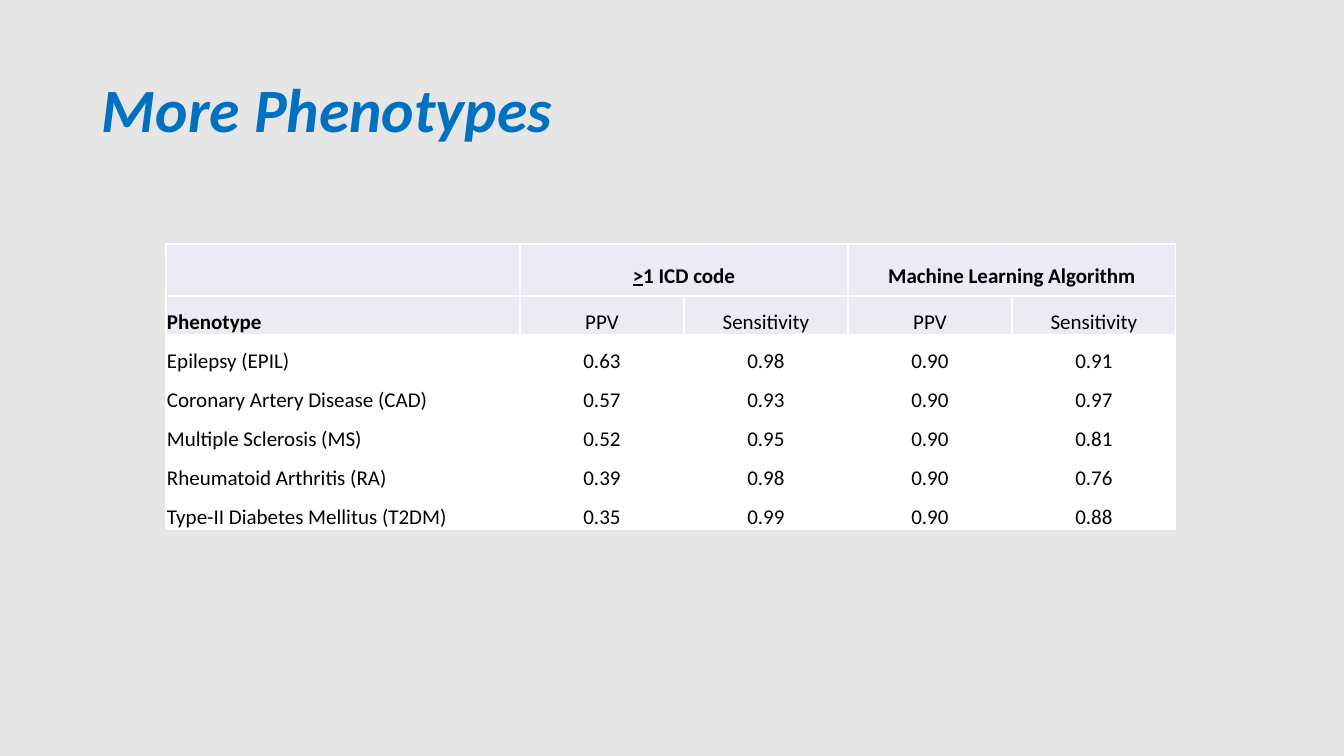
"""Build the slide that compares phenotype accuracy of ICD codes and machine learning."""
from dataclasses import dataclass

import lxml.etree
import pptx
import pptx.dml.color
import pptx.enum.text
import pptx.oxml.ns
import pptx.presentation
import pptx.slide
import pptx.table
import pptx.util

RGBColor = pptx.dml.color.RGBColor
BACKGROUND = RGBColor(0xE7, 0xE6, 0xE6)
TITLE_BLUE = RGBColor(0x00, 0x70, 0xC0)
HEADER_FILL = RGBColor(0xE9, 0xEB, 0xF5)
WHITE = RGBColor(0xFF, 0xFF, 0xFF)
BLACK = RGBColor(0x00, 0x00, 0x00)

FONT = "Calibri"
EMU_PER_PX = 914400 / 100.8
COLUMN_WIDTHS = (354, 164, 164, 164, 164)
GROUP_ROW_HEIGHT = 52
ROW_HEIGHT = 39
GROUP_MARGINS = (14, 7, 14, 7)
BODY_MARGINS = (1, 1, 1, 0)


@dataclass(frozen=True)
class Phenotype:
    """Accuracy figures of one phenotype."""

    name: str
    icd_ppv: str
    icd_sensitivity: str
    learning_ppv: str
    learning_sensitivity: str

    def texts(self) -> tuple[str, ...]:
        """Return the cell texts from left to right."""
        return (self.name, self.icd_ppv, self.icd_sensitivity,
                self.learning_ppv, self.learning_sensitivity)


@dataclass(frozen=True)
class Group:
    """Heading over two columns, with the part of it that is underlined."""

    column: int
    underlined: str
    plain: str


GROUPS = (
    Group(1, ">", "1 ICD code"),
    Group(3, "", "Machine Learning Algorithm"),
)
HEADINGS = ("Phenotype", "PPV", "Sensitivity", "PPV", "Sensitivity")
PHENOTYPES = (
    Phenotype("Epilepsy (EPIL)", "0.63", "0.98", "0.90", "0.91"),
    Phenotype("Coronary Artery Disease (CAD)", "0.57", "0.93", "0.90", "0.97"),
    Phenotype("Multiple Sclerosis (MS)", "0.52", "0.95", "0.90", "0.81"),
    Phenotype("Rheumatoid Arthritis (RA)", "0.39", "0.98", "0.90", "0.76"),
    Phenotype("Type-II Diabetes Mellitus (T2DM)", "0.35", "0.99", "0.90", "0.88"),
)


def px(length: int) -> pptx.util.Emu:
    """Turn pixels into EMU."""
    return pptx.util.Emu(round(length * EMU_PER_PX))


def add_title(slide: pptx.slide.Slide, text: str) -> None:
    """Add the slide title."""
    frame = slide.shapes.add_textbox(px(92), px(40), px(1159), px(146)).text_frame
    frame.word_wrap = True
    frame.vertical_anchor = pptx.enum.text.MSO_ANCHOR.MIDDLE
    paragraph = frame.paragraphs[0]
    paragraph.text = text
    paragraph.line_spacing = 0.9
    paragraph.font.name = FONT
    paragraph.font.size = pptx.util.Pt(44)
    paragraph.font.bold = True
    paragraph.font.italic = True
    paragraph.font.color.rgb = TITLE_BLUE


def style_cell(cell: pptx.table._Cell, fill: RGBColor,
               margins: tuple[int, int, int, int], bold: bool, centred: bool) -> None:
    """Set the fill, borders, margins and font of a cell."""
    cell.fill.solid()
    cell.fill.fore_color.rgb = fill
    cell.vertical_anchor = pptx.enum.text.MSO_ANCHOR.BOTTOM
    cell.margin_left, cell.margin_top, cell.margin_right, cell.margin_bottom = map(px, margins)
    properties = cell._tc.get_or_add_tcPr()
    qn = pptx.oxml.ns.qn
    for index, side in enumerate(("lnL", "lnR", "lnT", "lnB")):
        line = lxml.etree.Element(qn(f"a:{side}"), w=str(pptx.util.Pt(1)))
        line_fill = lxml.etree.SubElement(line, qn("a:solidFill"))
        lxml.etree.SubElement(line_fill, qn("a:srgbClr"), val=str(WHITE))
        properties.insert(index, line)
    paragraph = cell.text_frame.paragraphs[0]
    if centred:
        paragraph.alignment = pptx.enum.text.PP_ALIGN.CENTER
    paragraph.font.name = FONT
    paragraph.font.size = pptx.util.Pt(15)
    paragraph.font.bold = bold
    paragraph.font.color.rgb = BLACK


def fill_group_row(table: pptx.table.Table) -> None:
    """Write the headings that span two columns."""
    for group in GROUPS:
        cell = table.cell(0, group.column)
        cell.merge(table.cell(0, group.column + 1))
        paragraph = cell.text_frame.paragraphs[0]
        if group.underlined:
            run = paragraph.add_run()
            run.text = group.underlined
            run.font.underline = True
        paragraph.add_run().text = group.plain
    for column in range(len(COLUMN_WIDTHS)):
        style_cell(table.cell(0, column), HEADER_FILL, GROUP_MARGINS, True, True)


def add_phenotype_table(slide: pptx.slide.Slide) -> None:
    """Add the table of phenotypes."""
    rows = (HEADINGS, *(phenotype.texts() for phenotype in PHENOTYPES))
    heights = (GROUP_ROW_HEIGHT, *(ROW_HEIGHT for _ in rows))
    table = slide.shapes.add_table(
        len(heights), len(COLUMN_WIDTHS), px(166), px(244),
        px(sum(COLUMN_WIDTHS)), px(sum(heights))).table
    table.first_row = False
    table.horz_banding = False
    for table_column, width in zip(table.columns, COLUMN_WIDTHS):
        table_column.width = px(width)
    for table_row, height in zip(table.rows, heights):
        table_row.height = px(height)
    fill_group_row(table)
    for row, texts in enumerate(rows, start=1):
        is_header = row == 1
        for column, text in enumerate(texts):
            cell = table.cell(row, column)
            cell.text = text
            style_cell(cell, HEADER_FILL if is_header else WHITE, BODY_MARGINS,
                       bold=is_header and column == 0, centred=column > 0)


def build() -> pptx.presentation.Presentation:
    """Return the presentation with its one slide."""
    presentation = pptx.Presentation()
    presentation.slide_width = px(1344)
    presentation.slide_height = px(756)
    slide = presentation.slides.add_slide(presentation.slide_layouts[6])
    slide.background.fill.solid()
    slide.background.fill.fore_color.rgb = BACKGROUND
    add_title(slide, "More Phenotypes")
    add_phenotype_table(slide)
    return presentation


if __name__ == "__main__":
    build().save("out.pptx")
